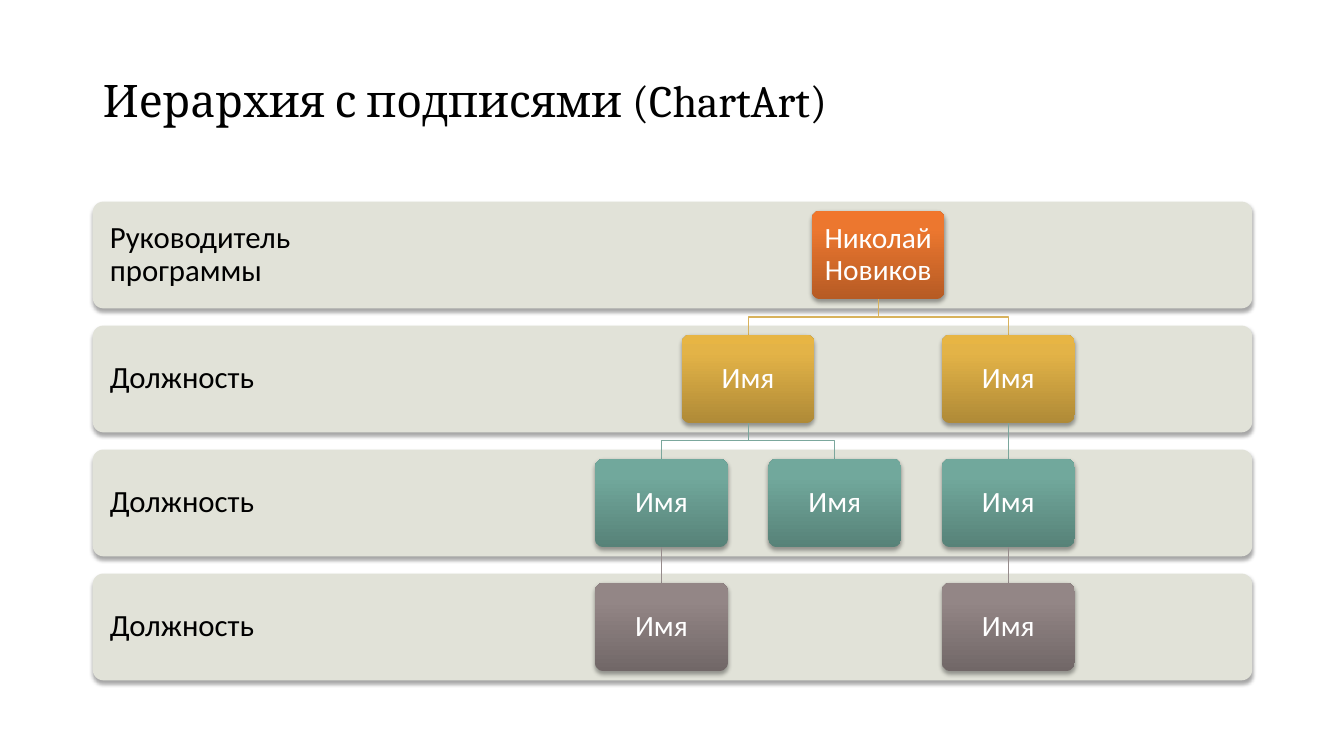
from lxml import etree
from pptx import Presentation
from pptx.dml.color import RGBColor
from pptx.enum.shapes import MSO_CONNECTOR as Connector, MSO_SHAPE as Shape
from pptx.enum.text import MSO_ANCHOR as Anchor, PP_ALIGN as Align
from pptx.oxml import parse_xml
from pptx.oxml.ns import nsdecls, qn
from pptx.util import Inches, Pt

ROW_TOP, ROW_PITCH, ROW_HEIGHT = 2, 1.23, 1.06
BAND_LEFT, BAND_WIDTH, LABEL_WIDTH = 0.92, 11.5, 3.45
NODE_WIDTH, NODE_HEIGHT, NODE_INSET = 1.32, 0.88, 0.09
FIRST_CENTER, CENTER_STEP = 6.56, 0.86

LABELS = ["Руководитель программы", "Должность", "Должность", "Должность"]
GRADIENTS = [
    ("B65B24", "EC772F", "F1762C"),
    ("AF8A37", "E3B347", "E7B544"),
    ("578278", "71A89C", "70AA9D"),
    ("716767", "938686", "948787"),
]
LINE_COLORS = [None, "D8B25C", "7BA79D", "968C8C"]
HIERARCHY = ("Николай Новиков", 2.5, [
    ("Имя", 1, [("Имя", 0, [("Имя", 0, [])]), ("Имя", 2, [])]),
    ("Имя", 4, [("Имя", 4, [("Имя", 4, [])])]),
])


def color(value):
    return RGBColor.from_string(value)


class HierarchySlide:
    """Holds the style and the current slide of a labeled hierarchy."""

    title_font = "Cambria"
    body_font = "Calibri"

    def __init__(self, presentation):
        self.slide = presentation.slides.add_slide(presentation.slide_layouts[5])

    def set_text(self, shape, text, size, font, text_color, align, insets):
        frame = shape.text_frame
        frame.word_wrap = True
        frame.vertical_anchor = Anchor.MIDDLE
        (frame.margin_left, frame.margin_top,
         frame.margin_right, frame.margin_bottom) = map(Inches, insets)
        paragraph = frame.paragraphs[0]
        paragraph.alignment = align
        paragraph.line_spacing = 0.9
        run = paragraph.add_run()
        run.text = text
        run.font.size = Pt(size)
        run.font.name = font
        run.font.color.rgb = color(text_color)

    def title(self, text):
        shape = self.slide.shapes.title
        shape.left, shape.top = Inches(BAND_LEFT), Inches(0.3)
        shape.width, shape.height = Inches(BAND_WIDTH), Inches(1.45)
        self.set_text(shape, text, 32, self.title_font, "000000", Align.LEFT,
                      (0.1, 0.05, 0.1, 0.05))

    def box(self, left, top, width, height):
        shape = self.slide.shapes.add_shape(
            Shape.ROUNDED_RECTANGLE, *map(Inches, (left, top, width, height)))
        shape.adjustments[0] = 0.1
        shape.line.fill.background()
        return shape

    def cast_shadow(self, shape):
        shape.shadow.inherit = False
        effects = shape._element.spPr.find(qn("a:effectLst"))
        shadow = etree.SubElement(effects, qn("a:outerShdw"), blurRad=str(Pt(3.1)),
                                  dist=str(Pt(1.8)), dir="5400000", rotWithShape="0")
        black = etree.SubElement(shadow, qn("a:srgbClr"), val="000000")
        etree.SubElement(black, qn("a:alpha"), val="35000")

    def band(self, level, label):
        shape = self.box(BAND_LEFT, ROW_TOP + level * ROW_PITCH, BAND_WIDTH, ROW_HEIGHT)
        shape.fill.solid()
        shape.fill.fore_color.rgb = color("E1E2D8")
        self.cast_shadow(shape)
        right_inset = BAND_WIDTH - LABEL_WIDTH + 0.14
        self.set_text(shape, label, 22, self.body_font, "000000", Align.LEFT,
                      (0.14, 0.14, right_inset, 0.14))

    def node(self, level, center, name):
        shape = self.box(center - NODE_WIDTH / 2, self.node_top(level),
                         NODE_WIDTH, NODE_HEIGHT)
        stops = "".join(
            f'<a:gs pos="{position}"><a:srgbClr val="{value}"/></a:gs>'
            for position, value in zip((0, 80000, 100000), GRADIENTS[level]))
        shape._element.spPr.find(qn("a:prstGeom")).addnext(parse_xml(
            f'<a:gradFill {nsdecls("a")} rotWithShape="1"><a:gsLst>{stops}</a:gsLst>'
            '<a:lin ang="16200000" scaled="0"/></a:gradFill>'))
        self.cast_shadow(shape)
        self.set_text(shape, name, 21, self.body_font, "FFFFFF", Align.CENTER,
                      [NODE_INSET] * 4)

    def node_top(self, level):
        return ROW_TOP + level * ROW_PITCH + (ROW_HEIGHT - NODE_HEIGHT) / 2

    def link(self, level, parent, child):
        start = self.node_top(level - 1) + NODE_HEIGHT
        end = self.node_top(level)
        middle = (start + end) / 2
        if parent == child:
            shape = self.slide.shapes.add_connector(
                Connector.STRAIGHT, *map(Inches, (parent, start, child, end)))
            etree.SubElement(shape._element.spPr, qn("a:effectLst"))
        else:
            builder = self.slide.shapes.build_freeform(Inches(parent), Inches(start))
            corners = [(parent, middle), (child, middle), (child, end)]
            builder.add_line_segments(
                [(Inches(x), Inches(y)) for x, y in corners], close=False)
            shape = builder.convert_to_shape()
            shape.fill.background()
            shape.shadow.inherit = False
        shape.line.color.rgb = color(LINE_COLORS[level])
        shape.line.width = Pt(0.75)

    def branch(self, member, level=0, parent=None):
        name, column, children = member
        center = FIRST_CENTER + column * CENTER_STEP
        if parent is not None:
            self.link(level, parent, center)
        self.node(level, center, name)
        for child in children:
            self.branch(child, level + 1, center)


def main():
    presentation = Presentation()
    presentation.slide_width = Inches(13.33)
    presentation.slide_height = Inches(7.5)
    chart = HierarchySlide(presentation)
    chart.title("Иерархия с подписями (ChartArt)")
    for level, label in enumerate(LABELS):
        chart.band(level, label)
    chart.branch(HIERARCHY)
    presentation.save("out.pptx")


if __name__ == "__main__":
    main()
